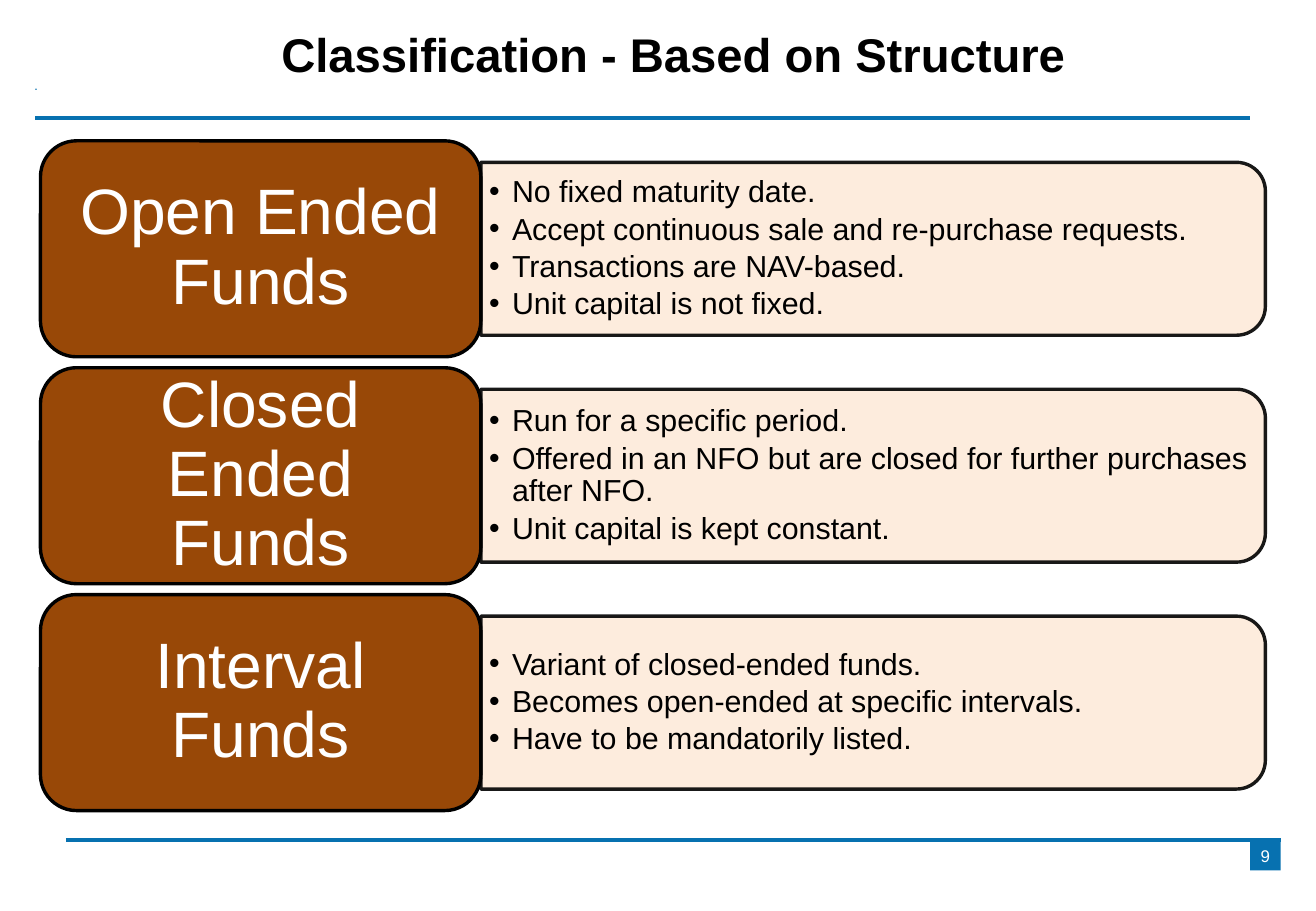
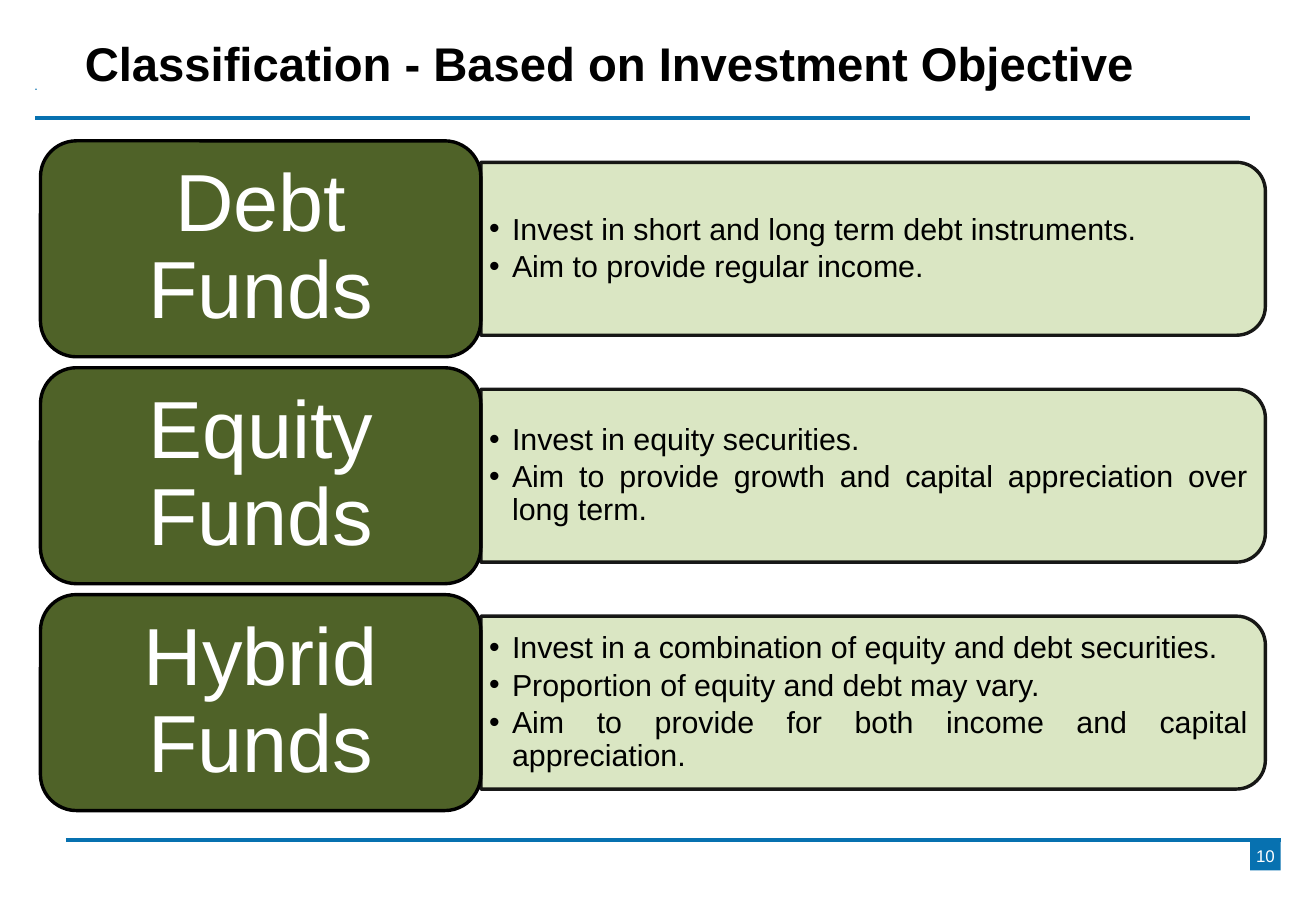
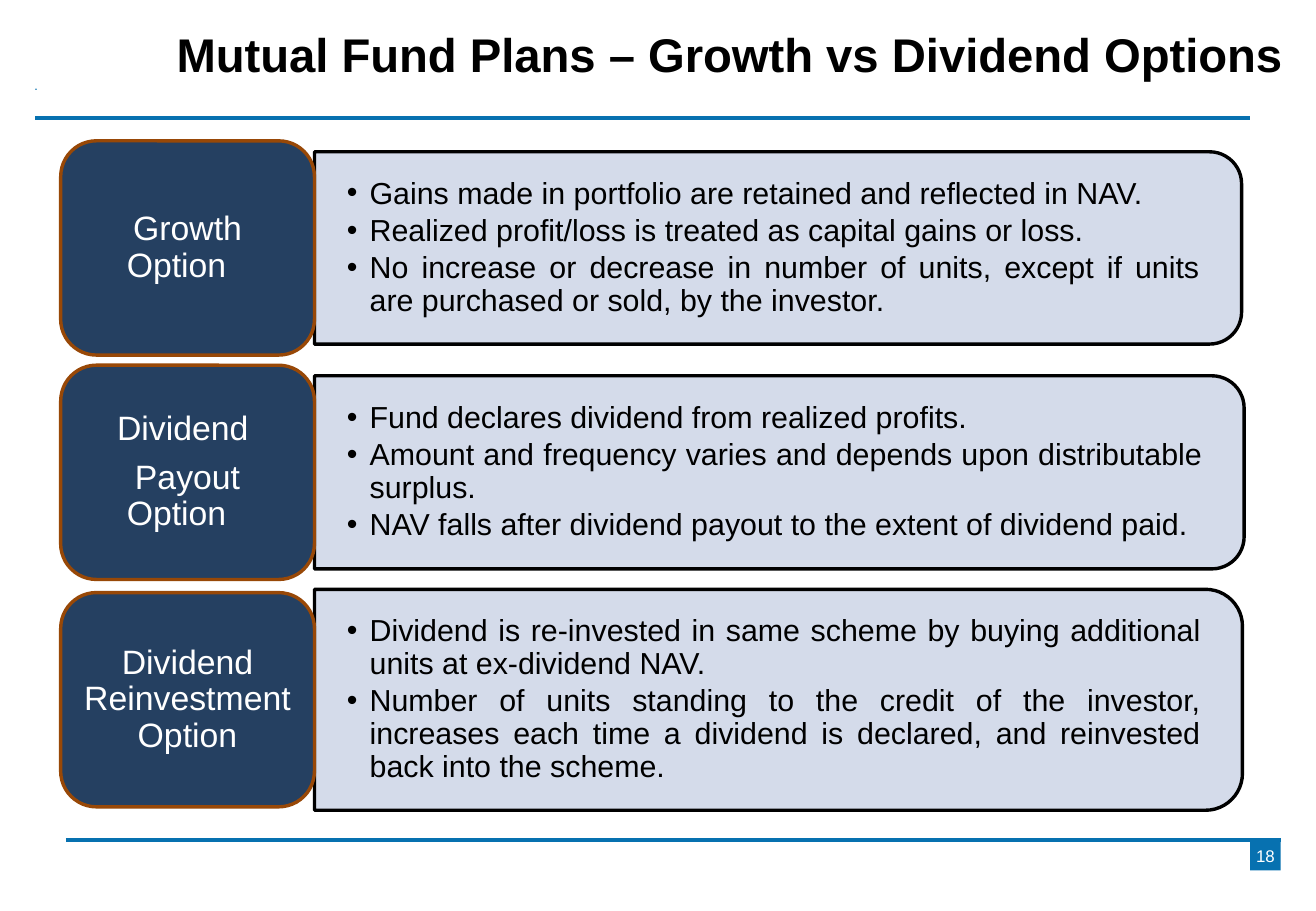
from lxml import etree
from pptx import Presentation
from pptx.dml.color import RGBColor
from pptx.enum import shapes as kinds, text as txt
from pptx.oxml.ns import qn
from pptx.util import Pt

BLUE = RGBColor(0x07, 0x71, 0xB0)
BLACK = RGBColor(0x00, 0x00, 0x00)
WHITE = RGBColor(0xFF, 0xFF, 0xFF)
BROWN = RGBColor(0x98, 0x48, 0x07)
PEACH = RGBColor(0xFD, 0xEA, 0xDA)
OLIVE = RGBColor(0x4F, 0x62, 0x28)
SAGE = RGBColor(0xD7, 0xE4, 0xBD)
NAVY = RGBColor(0x25, 0x40, 0x61)
MIST = RGBColor(0xD0, 0xD8, 0xE8)

FONT = "Arial"
LIST_SIZE = 18
LIST_INDENT = 13.5
LIST_GAP = 5.5  # from the edge of a panel to its list
SHAPE = kinds.MSO_SHAPE
ALIGN = txt.PP_ALIGN

# A row: centre height, panel width, panel height, label lines, list items
CLASSIFICATION = dict(label_left=24, label_width=261, label_height=128,
                      label_edge=BLACK, edge_alpha=90, list_margins=(5, 2.9))
DECK = [
    dict(CLASSIFICATION, title="Classification - Based on Structure",
         title_at=(48, 7.2), page=9, dark=BROWN, light=PEACH, label_size=38,
         rows=[
             (147.5, 465, 102.5, ["Open Ended Funds"], [
                 "No fixed maturity date.",
                 "Accept continuous sale and re-purchase requests.",
                 "Transactions are NAV-based.",
                 "Unit capital is not fixed."]),
             (282, 465, 102.5, ["Closed Ended Funds"], [
                 "Run for a specific period.",
                 "Offered in an NFO but are closed for further purchases after NFO.",
                 "Unit capital is kept constant."]),
             (416.5, 465, 102.5, ["Interval Funds"], [
                 "Variant of closed-ended funds.",
                 "Becomes open-ended at specific intervals.",
                 "Have to be mandatorily listed."]),
         ]),
    dict(CLASSIFICATION, title="Classification - Based on Investment Objective",
         title_at=(10, 12.2), page=10, dark=OLIVE, light=SAGE, label_size=48,
         rows=[
             (147.5, 465, 102.5, ["Debt Funds"], [
                 "Invest in short and long term debt instruments.",
                 "Aim to provide regular income."]),
             (282, 465, 102.5, ["Equity Funds"], [
                 "Invest in equity securities.",
                 "Aim to provide growth and capital appreciation over long term."]),
             (416.5, 465, 102.5, ["Hybrid Funds"], [
                 "Invest in a combination of equity and debt securities.",
                 "Proportion of equity and debt may vary.",
                 "Aim to provide for both income and capital appreciation."]),
         ]),
    dict(title="Mutual Fund Plans – Growth vs Dividend Options",
         title_at=(81.4, 7.2), page=18, dark=NAVY, light=MIST, label_size=20,
         label_left=36, label_width=150.4, label_height=127,
         label_edge=BROWN, edge_alpha=100, list_margins=(19.2, 9.6),
         rows=[
             (147, 549.5, 114, ["Growth Option\t"], [
                 "Gains made in portfolio are retained and reflected in NAV.",
                 "Realized profit/loss is treated as capital gains or loss.",
                 "No increase or decrease in number of units, except if units "
                 "are purchased or sold, by the investor."]),
             (280, 551, 114.5, ["Dividend ", "Payout Option\t"], [
                 "Fund declares dividend from realized profits.",
                 "Amount and frequency varies and depends upon distributable surplus.",
                 "NAV falls after dividend payout to the extent of dividend paid."]),
             (414.8, 550, 131, ["Dividend Reinvestment Option"], [
                 "Dividend is re-invested in same scheme by buying additional "
                 "units at ex-dividend NAV.",
                 "Number of units standing to the credit of the investor, "
                 "increases each time a dividend is declared, and reinvested "
                 "back into the scheme."]),
         ]),
]


def write(shape, lines, size, color, align=ALIGN.CENTER, margins=(0, 0),
          spacing=0.9, after=0, bold=False, bullet=None):
    frame = shape.text_frame
    frame.word_wrap = True
    frame.auto_size = txt.MSO_AUTO_SIZE.NONE
    frame.vertical_anchor = txt.MSO_ANCHOR.MIDDLE
    frame.margin_left = frame.margin_right = Pt(margins[0])
    frame.margin_top = frame.margin_bottom = Pt(margins[1])
    for number, line in enumerate(lines):
        paragraph = frame.add_paragraph() if number else frame.paragraphs[0]
        run = paragraph.add_run()
        run.text = line
        if bullet:
            properties = paragraph._p.get_or_add_pPr()
            properties.set("marL", str(Pt(LIST_INDENT)))
            properties.set("indent", str(-Pt(LIST_INDENT)))
            etree.SubElement(properties, qn("a:buChar")).set("char", bullet)
        paragraph.alignment = align
        paragraph.line_spacing = spacing
        paragraph.space_before = Pt(0)
        paragraph.space_after = Pt(after)
        run.font.name = FONT
        run.font.size = Pt(size)
        run.font.bold = bold
        run.font.color.rgb = color


def add_filled(slide, kind, box, fill, edge=None):
    shape = slide.shapes.add_shape(kind, *map(Pt, box))
    shape.shadow.inherit = False
    shape.fill.solid()
    shape.fill.fore_color.rgb = fill
    if edge is None:
        shape.line.fill.background()
    else:
        shape.line.color.rgb = edge
        shape.line.width = Pt(2)
    return shape


prs = Presentation()
prs.slide_width, prs.slide_height = Pt(780), Pt(540)
layout = prs.slide_layouts.get_by_name("Comparison")
slides = [prs.slides.add_slide(layout) for _ in DECK]

# Rules and corner dot are drawn once and moved to the shared layout
for left, top in [(21, 70), (39, 498)]:
    rule = slides[0].shapes.add_connector(
        kinds.MSO_CONNECTOR.STRAIGHT, Pt(left), Pt(top), Pt(left + 720), Pt(top))
    rule.line.color.rgb = BLUE
    rule.line.width = Pt(2.5)
    etree.SubElement(rule.element.spPr, qn("a:effectLst"))
    layout.shapes.element.append(rule.element)
dot = add_filled(slides[0], SHAPE.RECTANGLE, (21, 52.5, 0.8, 0.8), BLUE)
layout.shapes.element.append(dot.element)

for slide, page in zip(slides, DECK):
    title, *lists = slide.placeholders
    spare = lists.pop()
    spare.element.getparent().remove(spare.element)

    title.left, title.top = map(Pt, page["title_at"])
    title.width, title.height = Pt(702), Pt(53.3)
    write(title, [page["title"]], 28, BLACK, spacing=0.93, bold=True)

    page_number = add_filled(slide, SHAPE.RECTANGLE, (741, 498, 18, 18), BLUE)
    write(page_number, [str(page["page"])], 10, WHITE, spacing=1.0)

    panel_left = page["label_left"] + page["label_width"]
    label_size = page["label_size"]
    for points, row in zip(lists, page["rows"]):
        centre, width, height, label_lines, items = row

        # The panel is turned a quarter, so its frame is tall and narrow
        panel = add_filled(
            slide, SHAPE.ROUND_2_SAME_RECTANGLE,
            (panel_left + (width - height) / 2, centre - width / 2, height, width),
            page["light"], BLACK)
        panel.rotation = 90
        alphas = (90, page["edge_alpha"])
        for color, alpha in zip(panel.element.spPr.iter(qn("a:srgbClr")), alphas):
            etree.SubElement(color, qn("a:alpha")).set("val", str(alpha * 1000))
        slide.shapes.element.insert(2, panel.element)  # behind the lists

        points.left, points.top = Pt(panel_left), Pt(centre - height / 2 + LIST_GAP)
        points.width, points.height = Pt(width - LIST_GAP), Pt(height - 2 * LIST_GAP)
        write(points, items, LIST_SIZE, BLACK, align=ALIGN.JUSTIFY,
              margins=page["list_margins"], after=0.15 * LIST_SIZE, bullet="•")

        label = add_filled(
            slide, SHAPE.ROUNDED_RECTANGLE,
            (page["label_left"], centre - page["label_height"] / 2,
             page["label_width"], page["label_height"]),
            page["dark"], page["label_edge"])
        write(label, label_lines, label_size, WHITE, after=0.35 * label_size,
              margins=(0.3 * label_size, 0.15 * label_size))

prs.save("out.pptx")
